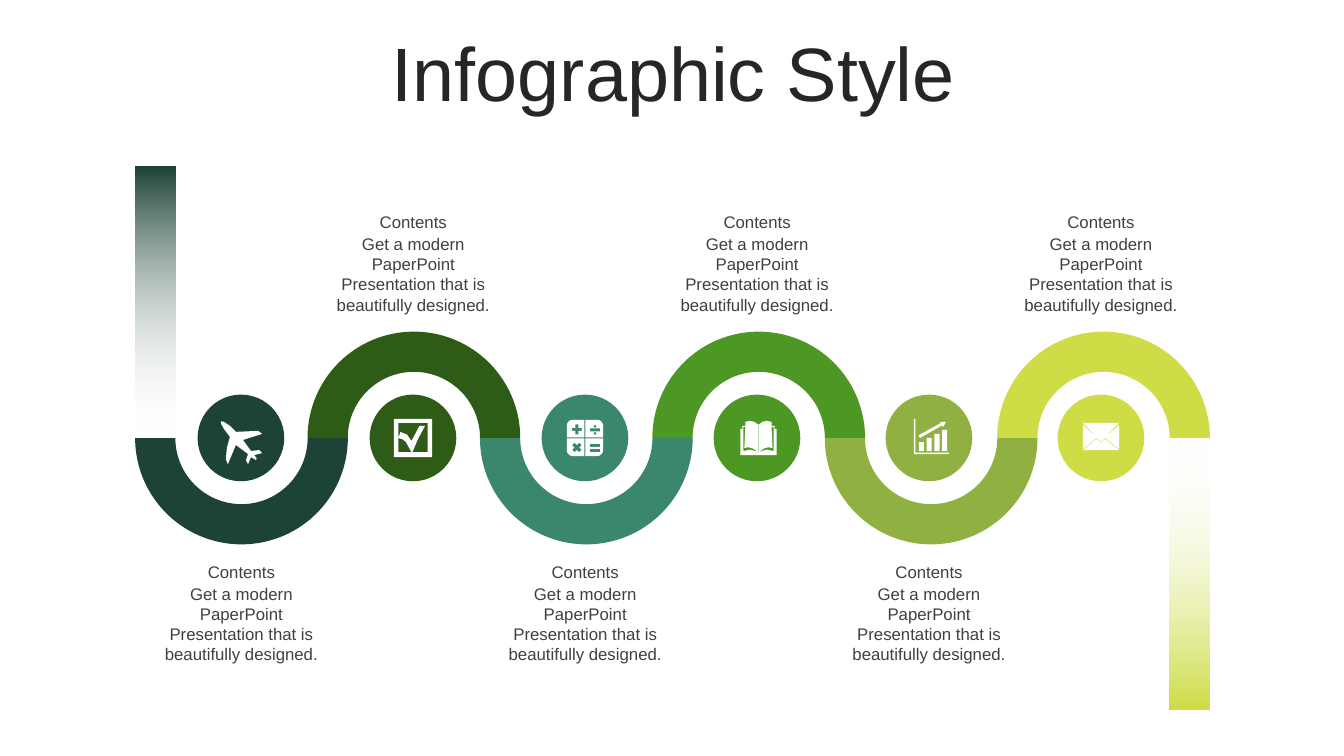
from math import cos, pi, sin

from lxml import etree
from pptx import Presentation
from pptx import util as u
from pptx.dml.color import RGBColor
from pptx.enum import shapes, text
from pptx.oxml.ns import qn

# Content
TITLE = "Infographic Style"
HEADING = "Contents"
BODY = "Get a modern PaperPoint Presentation that is beautifully designed."
STEPS = [
    ("plane", "1C4335"), ("check", "2E5B15"), ("calculator", "3A876B"),
    ("book", "4D9724"), ("chart", "90B141"), ("mail", "CEDD46"),
]
WHITE, DARK, GREY = "FFFFFF", "262626", "404040"
FONT = "Arial"

# Layout in inches
WIDTH, HEIGHT = 13.33, 7.5
MIDDLE = 4.345
ARC_LEFT, ARC_STEP, ARC_SIZE, BAND = 1.34, 1.71, 2.11, 0.4
DISC_LEFT, DISC_STEP, DISC_SIZE = 1.96, 1.706, 0.86
TAIL = 2.69
TEXT_LEFT, TEXT_STEP, TEXT_WIDTH = 1.46, 1.705, 1.87
TEXT_TOPS = (5.52, 2.05)  # below the lower arcs, above the upper arcs


# Icon outlines, in hundredths of an inch from the disc centre
def box(x0, y0, x1, y1):
    return [(x0, y0), (x1, y0), (x1, y1), (x0, y1)]


def arc(x, y, radius, start, sweep, steps=8):
    angles = [(start + sweep * i / steps) * pi / 180 for i in range(steps + 1)]
    return [(x + radius * cos(a), y + radius * sin(a)) for a in angles]


def mirror(points, axis):
    return [(2 * axis - x, y) for x, y in points]


def star_cross(x, y, reach, half, turn):
    """A plus sign, turned by the given degrees."""
    plus = []
    for quarter in range(4):
        for px, py in ((reach, -half), (reach, half), (half, half)):
            a = (90 * quarter + turn) * pi / 180
            plus.append((x + px * cos(a) - py * sin(a),
                         y + px * sin(a) + py * cos(a)))
    return plus


def calculator():
    keys = []
    for sx, sy in ((-1, -1), (1, -1), (1, 1), (-1, 1)):
        corner = arc(12, 12, 6, 0, 90)
        key = [(0.5, 0.5), (18, 0.5)] + corner + [(0.5, 18)]
        keys.append([(sx * x, sy * y) for x, y in key])
    dots = [arc(10, y, 1.4, 0, 360) for y in (-11.5, -4.5)]
    bars = [box(5, y, 15, y + 3) for y in (-9.5, 6, 11)]
    return keys + dots + bars + [star_cross(-8, -8.5, 5, 1.5, 0),
                                 star_cross(-8, 9.5, 5, 1.7, 45)]


def book(spine=1.5):
    cover = [(spine + x, y) for x, y in (
        (0, -13), (4, -16), (8, -17), (13, -16), (13, -12), (16, -12),
        (16, -9), (18, -9), (18, 17))]
    gap = [(spine + x, y) for x, y in (
        (0.5, 14), (8, 11.5), (15, 13), (15, -11), (13, -11), (14, 10),
        (10, 9.2), (6, 10.2))]
    return [cover + mirror(cover, spine)[::-1], gap, mirror(gap, spine),
            box(spine - 0.25, -12, spine + 0.25, 14)]


def chart():
    bars = [box(-10 + 7.7 * i, 4 - 4 * i, -5 + 7.7 * i, 13) for i in range(4)]
    arrow = [(11, -16), (17, -16), (14, -11), (13, -12.5), (-9, 0),
             (-10.5, -2.5), (12, -15)]
    axes = [(-15, -19), (-13.5, -19), (-13.5, 14.5), (20, 14.5), (20, 16),
            (-15, 16)]
    return bars + [arrow, axes]


FLAP = [(-18, -13), (-4, 0), (-18, 11)]
ICONS = {
    "plane": [[
        (21, 15), (13, 17), (15.5, 20), (15, 22), (10, 19), (7, 26), (5, 22),
        (7, 16), (-5, 7), (-13, 26), (-15, 21), (-14, 10), (-11, -1),
        (-17, -9), (-20, -14.5), (-20, -16.5), (-17, -16), (-11, -12),
        (-5, -6), (17, -7), (21, -4), (2, 2), (10, 13), (18, 12)]],
    "check": [
        box(-19, -19, 19, 19), box(-14.5, -15, 14.5, 14),
        [(-14.5, 0), (-12.5, -6), (-6, -3.5), (-1.5, 3), (6.5, -12), (12, -12),
         (5, 1), (-0.5, 14), (-1.5, 14), (-7, 4), (-10, 1.5)]],
    "calculator": calculator(),
    "book": book(),
    "chart": chart(),
    "mail": [
        [(-18, -15), (18, -15), (0, 4)], FLAP, mirror(FLAP, 0),
        [(4, 1), (18, 12), (-18, 12), (-4, 1), (0, 5)]],
}


# Drawing helpers
def rgb(value):
    return RGBColor.from_string(value)


def paint(sp, color):
    sp.shadow.inherit = False
    sp.line.fill.background()
    sp.fill.solid()
    sp.fill.fore_color.rgb = rgb(color)


def add_shape(kind, x, y, w, h, color):
    sp = slide.shapes.add_shape(kind, *map(u.Inches, (x, y, w, h)))
    paint(sp, color)
    return sp


def write(sp, words, size=12, color=GREY, spacing=None, anchor=text.MSO_ANCHOR.TOP):
    tf = sp.text_frame
    tf.word_wrap = True
    tf.vertical_anchor = anchor
    p = tf.paragraphs[0]
    p.alignment = text.PP_ALIGN.CENTER
    p.space_before = u.Pt(0)
    if spacing:
        p.line_spacing = spacing
    r = p.add_run()
    r.text = words
    r.font.name, r.font.size, r.font.color.rgb = FONT, u.Pt(size), rgb(color)


def add_text(x, y, w, h, words):
    write(slide.shapes.add_textbox(*map(u.Inches, (x, y, w, h))), words)


def add_fade(x, y, color, angle):
    """A band that fades from its colour to clear white."""
    sp = add_shape(shapes.MSO_SHAPE.RECTANGLE, x, y, BAND, TAIL, color)
    sp.fill.gradient()
    sp.fill.gradient_angle = angle
    for stop, shade in zip(sp.fill.gradient_stops, (color, WHITE)):
        stop.color.rgb = rgb(shade)
    clear = list(sp._element.spPr.iter(qn("a:srgbClr")))[-1]
    etree.SubElement(clear, qn("a:alpha")).set("val", "0")


def add_icon(contours, x, y):
    outlines = [[(100 * px, 100 * py) for px, py in c] for c in contours]
    pen = slide.shapes.build_freeform(*outlines[0][0], scale=u.Inches(1) / 10000)
    for i, outline in enumerate(outlines):
        if i:
            pen.move_to(*outline[0])
        pen.add_line_segments(outline[1:], close=True)
    paint(pen.convert_to_shape(u.Inches(x), u.Inches(y)), WHITE)


prs = Presentation()
prs.slide_width, prs.slide_height = u.Inches(WIDTH), u.Inches(HEIGHT)
slide = prs.slides.add_slide(prs.slide_layouts[5])

# Title
title = slide.shapes.title
title.left, title.top, title.width, title.height = map(u.Inches, (0.35, 0.37, 12.66, 0.79))
write(title, TITLE, size=54, color=DARK, spacing=0.9, anchor=text.MSO_ANCHOR.MIDDLE)

# Winding band: even steps curve below the middle, odd ones above
for i, (_, color) in reversed(list(enumerate(STEPS))):
    sp = add_shape(shapes.MSO_SHAPE.BLOCK_ARC, ARC_LEFT + i * ARC_STEP,
                   MIDDLE - ARC_SIZE / 2, ARC_SIZE, ARC_SIZE, color)
    for n, value in enumerate((108, 0, 0.189)):
        sp.adjustments[n] = value
    sp.rotation = 0 if i % 2 else 180
band_right = ARC_LEFT + 5 * ARC_STEP + ARC_SIZE
add_fade(band_right - BAND, MIDDLE, STEPS[-1][1], 90)
add_fade(ARC_LEFT, MIDDLE - TAIL, STEPS[0][1], 270)

# Discs, icons and captions
for i, (icon, color) in enumerate(STEPS):
    x = DISC_LEFT + i * DISC_STEP
    add_shape(shapes.MSO_SHAPE.OVAL, x, MIDDLE - DISC_SIZE / 2, DISC_SIZE, DISC_SIZE, color)
    add_icon(ICONS[icon], x + DISC_SIZE / 2, MIDDLE)
    left, top = TEXT_LEFT + i * TEXT_STEP, TEXT_TOPS[i % 2]
    add_text(left, top + 0.22, TEXT_WIDTH, 0.91, BODY)
    add_text(left, top, TEXT_WIDTH, 0.3, HEADING)

prs.save("out.pptx")
